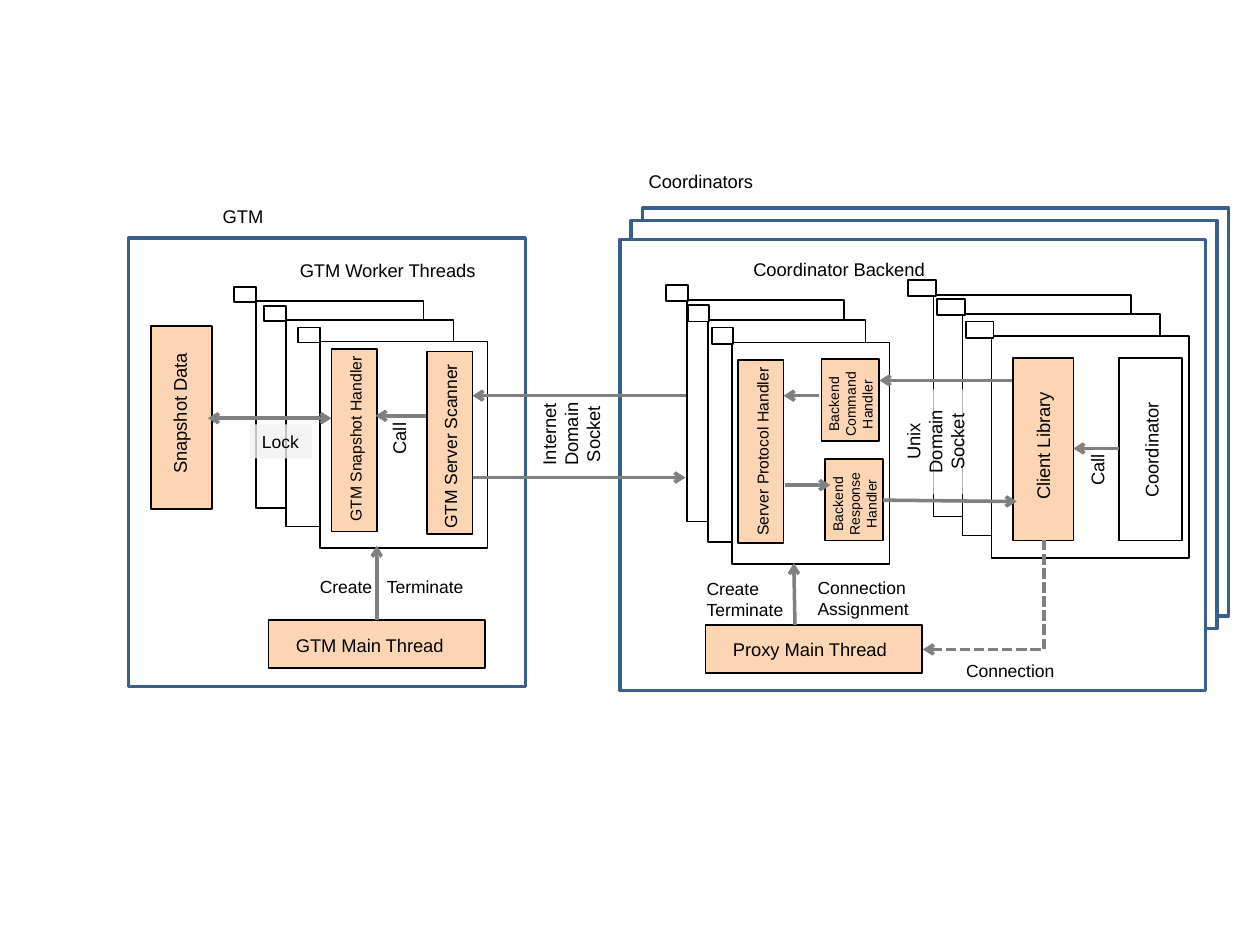
import pptx
import pptx.util
import pptx.dml.color
import pptx.enum.dml
import pptx.enum.shapes
import pptx.enum.text
import pptx.oxml
import pptx.oxml.ns
import lxml.etree

Pt = pptx.util.Pt
KIND = pptx.enum.shapes.MSO_SHAPE.RECTANGLE
WIRE = pptx.enum.shapes.MSO_CONNECTOR
ALIGN = pptx.enum.text.PP_ALIGN
DASH = pptx.enum.dml.MSO_LINE.SQUARE_DOT

HUES = {"white": "FFFFFF", "black": "000000", "blue": "3A5F8C",
        "peach": "FCD5B5", "gray": "808080", "pale": "F2F2F2"}
FONT = {"name": "Arial", "bold": False}

FRAMES = [
    (367.2, 118.8, 334.8, 233.3, "white"),
    (360.7, 126, 334.8, 233.3, "white"),
    (73.4, 136.1, 226.8, 256.3, None),
    (354.2, 136.8, 334.8, 257.8, "white"),
]

WORKER = {"card": (95.8, 118.1), "tab": (-12.6, -8, 12.8, 8.6),
          "spots": [(146.2, 172.1), (163.4, 182.9), (182.9, 195.1)]}
CLIENT = {"card": (113, 126.7), "tab": (-14.6, -8.5, 15.8, 9.4),
          "spots": [(533.5, 168.5), (550.1, 179.3), (566.6, 192.2)]}
PROXY = {"card": (90, 126.7), "tab": (-11.6, -8.6, 12.2, 9.4),
         "spots": [(392.4, 171.4), (404.6, 182.9), (418.3, 195.8)]}

BOXES = [
    (639.4, 204.5, 36, 104.4, "white"),
    (578.9, 204.5, 34.6, 104.4, "peach"),
    (86.4, 186.5, 34.6, 104.4, "peach"),
    (153.4, 354.2, 123.8, 27.4, "peach"),
    (189.4, 199.4, 25.9, 104.4, "peach"),
    (244.1, 200.9, 25.9, 104.4, "peach"),
    (421.9, 205.9, 25.9, 104.4, "peach"),
    (403.2, 357.1, 123.8, 27.4, "peach"),
    (469.4, 205.2, 33.1, 46.8, "peach"),
    (471.6, 262.1, 33.1, 46.8, "peach"),
]

SOCKETS = [(484.6, 226.1, 270, 226.1), (270, 272.9, 391.7, 272.9)]
CALLS = [
    (639.4, 256.3, 613.4, 256.3),
    (215.3, 354.2, 215.3, 311.8),
    (243.4, 237.6, 214.6, 237.6),
    (578.2, 217.4, 502.6, 217.4),
    (504.7, 285.8, 581, 286.6),
    (468, 226.1, 447.8, 226.1),
    (448.6, 277.2, 474.5, 277.2),
    (454.3, 357.1, 453.6, 321.8),
]
LOCK = (189.4, 239, 118.8, 239)
LINK = (530.6, 305.3, 62.6, 69.1)

FLAT = [
    ("GTM Worker Threads", 164.2, 144.7, 123.8, 20.2, 10.5),
    ("GTM", 120.2, 113.8, 95, 20.2, 10.5),
    ("GTM Main Thread", 162, 358.6, 105.1, 20.2, 10.5),
    ("Create", 175.7, 325.4, 50, 20.2, 10),
    ("Terminate", 214, 325.4, 66, 20.2, 10),
    ("Coordinators", 363.6, 93.6, 95, 20.2, 10.5),
    ("Coordinator Backend", 423.4, 144, 125.3, 20.2, 10.5),
    ("Proxy Main Thread", 411.8, 361.4, 105.1, 20.2, 10.5),
    ("Connection", 545, 373.7, 64.8, 20.2, 10),
    ("Create\vTerminate", 396.7, 326.9, 65.5, 31.7, 10),
    ("Connection\vAssignment", 460.1, 326.2, 72, 31.7, 10),
]
TURNED = [
    ("Snapshot Data", 55.4, 226.1, 95, 20.2, 10.5),
    ("Client Library", 548.6, 244.8, 95, 20.2, 10.5),
    ("Coordinator", 610.6, 247, 95, 20.2, 10.5),
    ("Call", 605.5, 258.5, 43.2, 20.2, 10.5),
    ("Internet Domain Socket", 289.4, 225.4, 74.2, 45.4, 10.5),
    ("GTM Snapshot Handler", 146.2, 241.9, 113.8, 18, 9),
    ("GTM Server Scanner", 201.6, 245.5, 111.6, 19.4, 10),
    ("Call", 206.6, 240.5, 43.2, 20.2, 10.5),
    ("Server Protocol Handler", 378.7, 249.1, 113.8, 18, 9),
    ("Backend Command Handler", 457.2, 213.1, 57.6, 36, 8),
    ("Backend Response Handler", 459.4, 270, 57.6, 36, 8),
]
VEILED = ("Unix Domain Socket", 504.7, 229.7, 59.8, 45.4, 10.5)
SHADED = ("Lock", 142.6, 242.6, 36, 19.4, 10)

deck = pptx.Presentation()
deck.slide_width, deck.slide_height = Pt(720), Pt(540)
page = deck.slides.add_slide(deck.slide_layouts[6])


def tint(name):
    return pptx.dml.color.RGBColor.from_string(HUES[name])


def style(part, values):
    for key, value in values.items():
        setattr(part, key, value)


def paint(part, fill, alpha=None):
    if fill is None:
        part.fill.background()
        return
    part.fill.solid()
    part.fill.fore_color.rgb = tint(fill)
    if alpha:
        hue = part._element.spPr.find(".//" + pptx.oxml.ns.qn("a:srgbClr"))
        node = lxml.etree.SubElement(hue, pptx.oxml.ns.qn("a:alpha"))
        node.set("val", str(alpha * 1000))


def box(x, y, w, h, fill, line="black", width=1):
    part = page.shapes.add_shape(KIND, Pt(x), Pt(y), Pt(w), Pt(h))
    part.shadow.inherit = False
    paint(part, fill)
    part.line.color.rgb = tint(line)
    part.line.width = Pt(width)


def stack(group):
    dx, dy, w, h = group["tab"]
    for x, y in group["spots"]:
        box(x, y, *group["card"], "white")
        box(x + dx, y + dy, w, h, "white")


def finish(wire, ends=("tailEnd",)):
    style(wire.line, {"width": Pt(2)})
    wire.line.color.rgb = tint("gray")
    line = wire.line._get_or_add_ln()
    for end in ends:
        node = lxml.etree.SubElement(line, pptx.oxml.ns.qn("a:" + end))
        node.set("type", "arrow")
    lxml.etree.SubElement(wire._element.spPr, pptx.oxml.ns.qn("a:effectLst"))


def arrow(spots, ends=("tailEnd",)):
    wire = page.shapes.add_connector(WIRE.STRAIGHT, *map(Pt, spots))
    finish(wire, ends)


def elbow(x, y, w, h):
    wire = page.shapes.add_connector(WIRE.ELBOW, Pt(x), Pt(y), Pt(x + w), Pt(y + h))
    props = wire._element.spPr
    props.find(pptx.oxml.ns.qn("a:xfrm")).set("rot", "5400000")
    props.find(pptx.oxml.ns.qn("a:prstGeom")).set("prst", "bentConnector2")
    wire.line.dash_style = DASH
    finish(wire)


def label(text, x, y, w, h, size, turn=False, fill=None, alpha=None):
    part = page.shapes.add_textbox(Pt(x), Pt(y), Pt(w), Pt(h))
    part.rotation = 270 if turn else 0
    paint(part, fill, alpha)
    part.text_frame.word_wrap = True
    para = part.text_frame.paragraphs[0]
    para.text = text
    para.alignment = ALIGN.CENTER if turn else ALIGN.LEFT
    for run in para.runs:
        style(run.font, {**FONT, "size": Pt(size)})
        run.font.color.rgb = tint("black")


for frame in FRAMES:
    box(*frame, "blue", 2)
stack(WORKER)
stack(CLIENT)
for spots in SOCKETS:
    arrow(spots)
stack(PROXY)
for spots in BOXES:
    box(*spots)
arrow(LOCK, ("headEnd", "tailEnd"))
for spots in CALLS:
    arrow(spots)
elbow(*LINK)
label(*VEILED, True, "white", 70)
label(*SHADED, False, "pale", 80)
for item in FLAT:
    label(*item)
for item in TURNED:
    label(*item, True)

deck.save("out.pptx")
